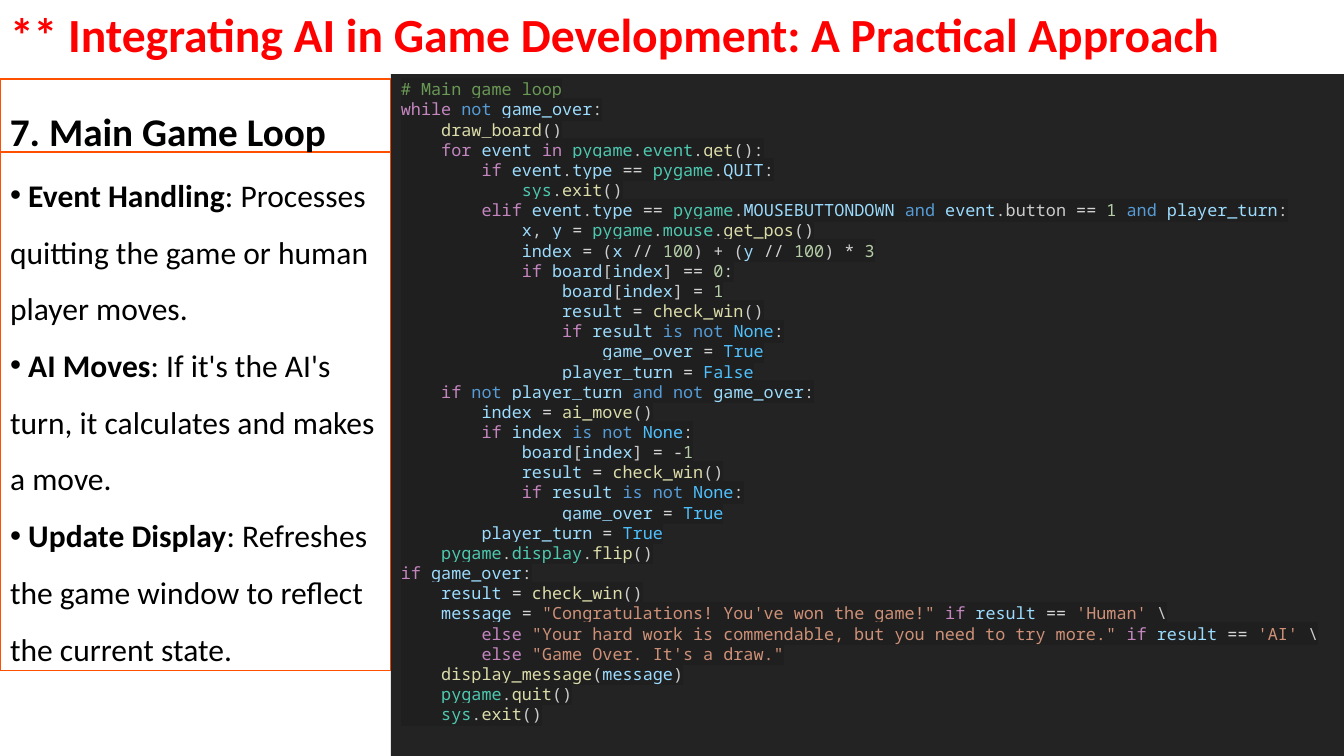
import itertools
from dataclasses import dataclass
from typing import Iterator

import pptx
import pptx.dml.color
import pptx.enum.shapes
import pptx.enum.text
import pptx.oxml
import pptx.oxml.ns
import pptx.util

EMU_PER_PX = 12192000 / 1344


@dataclass(frozen=True)
class Theme:
    text_font: str = "Calibri"
    code_font: str = "Noto Sans Mono"
    title_size: float = 34
    heading_size: float = 28
    list_size: float = 22.5
    code_size: float = 12
    title: str = "FF0000"
    ink: str = "000000"
    outline: str = "FF5000"
    panel: str = "232323"
    highlight: str = "1F1F1F"
    comment: str = "6A9955"
    control: str = "C586C0"
    logic: str = "569CD6"
    constant: str = "4FC1FF"
    variable: str = "9CDCFE"
    function: str = "DCDCAA"
    module: str = "4EC9B0"
    number: str = "B5CEA8"
    string: str = "CE9178"
    operator: str = "D4D4D4"
    plain: str = "CCCCCC"


@dataclass(frozen=True)
class Area:
    left: int
    top: int
    width: int
    height: int


@dataclass(frozen=True)
class Point:
    label: str
    detail: str


THEME = Theme()
TITLE_AREA = Area(0, 0, 1344, 74)
HEADING_AREA = Area(0, 79, 391, 73)
LIST_AREA = Area(0, 152, 391, 519)
CODE_AREA = Area(391, 74, 953, 682)

POINTS = [
    Point("Event Handling", "Processes quitting the game or human player moves."),
    Point("AI Moves", "If it's the AI's turn, it calculates and makes a move."),
    Point("Update Display", "Refreshes the game window to reflect the current state."),
]

WORD_COLOURS = {
    **dict.fromkeys(["while", "for", "in", "if", "elif", "else"], THEME.control),
    **dict.fromkeys(["not", "and", "is"], THEME.logic),
    **dict.fromkeys(["None", "True", "False"], THEME.constant),
    **dict.fromkeys(["pygame", "sys"], THEME.module),
    "button": THEME.plain,
}

PLAYER_CODE = r"""# Main game loop
while not game_over:
    draw_board()
    for event in pygame.event.get():
        if event.type == pygame.QUIT:
            sys.exit()
        elif event.type == pygame.MOUSEBUTTONDOWN and event.button == 1 and player_turn:
            x, y = pygame.mouse.get_pos()
            index = (x // 100) + (y // 100) * 3
            if board[index] == 0:
                board[index] = 1
                result = check_win()
                if result is not None:
                    game_over = True
                player_turn = False"""

AI_CODE = r"""    if not player_turn and not game_over:
        index = ai_move()
        if index is not None:
            board[index] = -1
            result = check_win()
            if result is not None:
                game_over = True
        player_turn = True
    pygame.display.flip()"""

ENDING_CODE = r"""if game_over:
    result = check_win()
    message = "Congratulations! You've won the game!" if result == 'Human' \
        else "Your hard work is commendable, but you need to try more." if result == 'AI' \
        else "Game Over. It's a draw."
    display_message(message)
    pygame.quit()
    sys.exit()"""


def word_colour(word: str, before: str, after: str) -> str:
    if word in WORD_COLOURS:
        return WORD_COLOURS[word]
    if word.isdigit():
        return THEME.number
    if after.startswith("("):
        return THEME.function
    if before.endswith("pygame.") and after.startswith("."):
        return THEME.module
    return THEME.variable


def is_word(char: str) -> bool:
    return char.isalnum() or char == "_"


def tokens(line: str) -> Iterator[tuple[str, str]]:
    if line.startswith("#"):
        yield line, THEME.comment
        return
    start = 0
    while start < len(line):
        first = line[start]
        end = start + 1
        if first in "\"'":
            end = line.index(first, end) + 1
            colour = THEME.string
        elif is_word(first):
            while end < len(line) and is_word(line[end]):
                end += 1
            colour = word_colour(line[start:end], line[:start], line[end:])
        else:
            colour = THEME.operator if first in "=+-*/" else THEME.plain
        yield line[start:end], colour
        start = end


def place(shape, area: Area) -> None:
    shape.left, shape.top, shape.width, shape.height = (
        round(length * EMU_PER_PX) for length in (area.left, area.top, area.width, area.height))


def set_frame(shape, anchor=pptx.enum.text.MSO_ANCHOR.TOP):
    frame = shape.text_frame
    frame.word_wrap = True
    frame.auto_size = pptx.enum.text.MSO_AUTO_SIZE.NONE
    frame.vertical_anchor = anchor
    return frame


def set_para(para, line_spacing: float) -> None:
    para.alignment = pptx.enum.text.PP_ALIGN.LEFT
    para.line_spacing = line_spacing
    para.space_before = pptx.util.Pt(0)


def set_span(span, font: str, size: float, colour: str, bold: bool = False) -> None:
    span.font.name = font
    span.font.size = pptx.util.Pt(size)
    span.font.bold = bold
    span.font.color.rgb = pptx.dml.color.RGBColor.from_string(colour)


def outline(shape) -> None:
    shape.line.color.rgb = pptx.dml.color.RGBColor.from_string(THEME.outline)
    shape.line.width = pptx.util.Pt(0.75)


def add_bullet(para) -> None:
    properties = para._p.get_or_add_pPr()
    properties.set("marL", "0")
    properties.set("indent", "0")
    bullet = pptx.oxml.parse_xml(f'<a:buChar {pptx.oxml.ns.nsdecls("a")} char="•"/>')
    properties.append(bullet)


def add_highlight(span) -> None:
    fill = span._r.rPr.find(pptx.oxml.ns.qn("a:solidFill"))
    fill.addnext(pptx.oxml.parse_xml(
        f'<a:highlight {pptx.oxml.ns.nsdecls("a")}>'
        f'<a:srgbClr val="{THEME.highlight}"/></a:highlight>'))


def write_line(shape, text: str, size: float, colour: str, spacing: float, anchor) -> None:
    frame = set_frame(shape, anchor)
    frame.text = text
    para = frame.paragraphs[0]
    set_para(para, spacing)
    set_span(para.runs[0], THEME.text_font, size, colour, bold=True)


def write_points(shape, points: list[Point]) -> None:
    frame = set_frame(shape)
    frame.text = "\n".join(f" {point.label}" for point in points)
    for para, point in zip(frame.paragraphs, points):
        add_bullet(para)
        set_para(para, 1.5)
        para.add_run().text = f": {point.detail}"
        for span, bold in zip(para.runs, (True, False)):
            set_span(span, THEME.text_font, THEME.list_size, THEME.ink, bold)


def write_code(shape, lines: list[str]) -> None:
    frame = set_frame(shape)
    frame.text = "\n" * (len(lines) - 1)
    for para, line in zip(frame.paragraphs, lines):
        set_para(para, 1.0)
        for colour, group in itertools.groupby(tokens(line), key=lambda token: token[1]):
            span = para.add_run()
            span.text = "".join(text for text, _ in group)
            set_span(span, THEME.code_font, THEME.code_size, colour)
            add_highlight(span)


def main() -> None:
    deck = pptx.Presentation()
    deck.slide_width = round(1344 * EMU_PER_PX)
    deck.slide_height = round(756 * EMU_PER_PX)
    page = deck.slides.add_slide(deck.slide_layouts[1])

    title = page.shapes.title
    place(title, TITLE_AREA)
    write_line(title, "** Integrating AI in Game Development: A Practical Approach",
               THEME.title_size, THEME.title, 0.9, pptx.enum.text.MSO_ANCHOR.MIDDLE)

    heading = page.shapes.add_textbox(0, 0, 0, 0)
    place(heading, HEADING_AREA)
    outline(heading)
    write_line(heading, "7. Main Game Loop",
               THEME.heading_size, THEME.ink, 1.5, pptx.enum.text.MSO_ANCHOR.TOP)

    body = page.placeholders[1]
    place(body, LIST_AREA)
    outline(body)
    write_points(body, POINTS)

    panel = page.shapes.add_shape(pptx.enum.shapes.MSO_SHAPE.RECTANGLE, 0, 0, 0, 0)
    place(panel, CODE_AREA)
    panel.shadow.inherit = False
    panel.fill.solid()
    panel.fill.fore_color.rgb = pptx.dml.color.RGBColor.from_string(THEME.panel)
    panel.line.fill.background()
    write_code(panel, [*PLAYER_CODE.split("\n"), *AI_CODE.split("\n"), *ENDING_CODE.split("\n")])

    deck.save("out.pptx")


if __name__ == "__main__":
    main()
